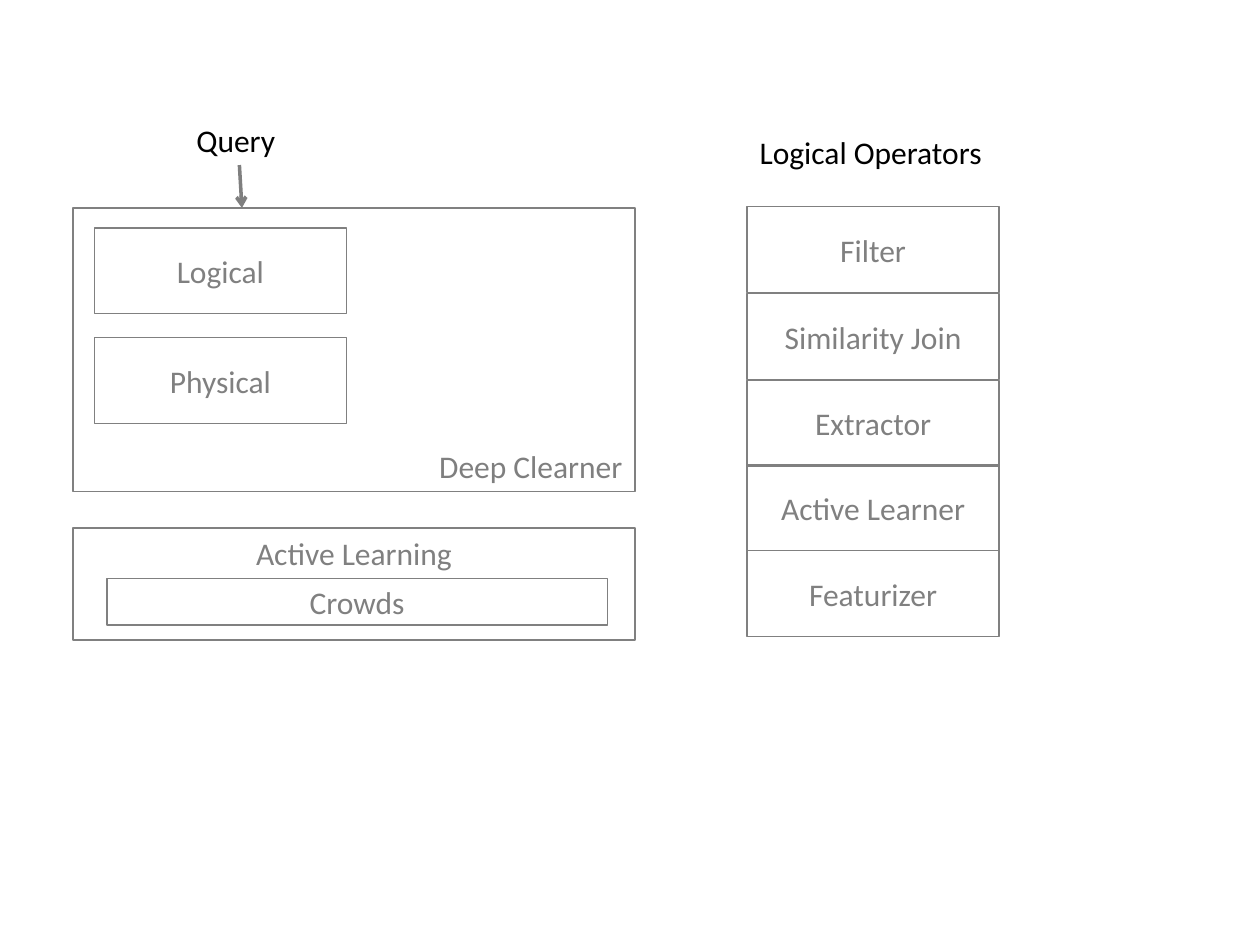
from pptx import Presentation
from pptx.dml.color import RGBColor
from pptx.enum.shapes import MSO_CONNECTOR as Connector, MSO_SHAPE as Shape
from pptx.enum.text import MSO_ANCHOR as Anchor, MSO_AUTO_SIZE as AutoSize, PP_ALIGN as Align
from pptx.oxml.ns import qn
from pptx.util import Inches, Pt
from lxml.etree import SubElement


def color(value):
    return RGBColor.from_string(value)


class Diagram:
    font_name = "Calibri"
    font_size = Pt(18)
    gray = "808080"
    dark_gray = "7F7F7F"
    black = "000000"

    def __init__(self, slide):
        self.slide = slide

    def add_text(self, frame, text, ink, align):
        paragraph = frame.paragraphs[0]
        paragraph.alignment = align
        run = paragraph.add_run()
        run.text = text
        run.font.name = self.font_name
        run.font.size = self.font_size
        run.font.color.rgb = color(ink)

    def box(self, text, left, top, width, height, anchor=Anchor.MIDDLE, align=Align.CENTER, ink=gray):
        shape = self.slide.shapes.add_shape(
            Shape.RECTANGLE, Inches(left), Inches(top), Inches(width), Inches(height))
        shape.shadow.inherit = False
        shape.fill.background()
        shape.line.color.rgb = color(self.gray)
        shape.line.width = Pt(0.75)
        shape.text_frame.word_wrap = True
        shape.text_frame.vertical_anchor = anchor
        self.add_text(shape.text_frame, text, ink, align)

    def label(self, text, left, top, width, height):
        shape = self.slide.shapes.add_textbox(
            Inches(left), Inches(top), Inches(width), Inches(height))
        shape.text_frame.word_wrap = False
        shape.text_frame.auto_size = AutoSize.SHAPE_TO_FIT_TEXT
        self.add_text(shape.text_frame, text, self.black, Align.LEFT)

    def arrow(self, start_x, start_y, end_x, end_y):
        connector = self.slide.shapes.add_connector(
            Connector.STRAIGHT, Inches(start_x), Inches(start_y), Inches(end_x), Inches(end_y))
        connector.line.color.rgb = color(self.dark_gray)
        connector.line.width = Pt(2)
        properties = connector.element.spPr
        SubElement(properties.find(qn("a:ln")), qn("a:tailEnd"), type="arrow")
        SubElement(properties, qn("a:effectLst"))


def main():
    presentation = Presentation()
    presentation.slide_width = Inches(10)
    presentation.slide_height = Inches(7.5)
    diagram = Diagram(presentation.slides.add_slide(presentation.slide_layouts[6]))

    diagram.box("Active Learning", 0.58, 4.19, 4.46, 0.89, anchor=Anchor.TOP)
    diagram.box("Deep Clearner", 0.58, 1.65, 4.46, 2.25,
                anchor=Anchor.BOTTOM, align=Align.RIGHT, ink=Diagram.dark_gray)
    diagram.box("Crowds", 0.85, 4.59, 3.97, 0.37)

    plan_steps = [("Logical", 1.81), ("Physical", 2.68)]
    for name, top in plan_steps:
        diagram.box(name, 0.75, top, 2, 0.68)

    diagram.label("Query", 1.46, 0.91, 0.89, 0.4)
    diagram.arrow(1.9, 1.31, 1.92, 1.65)

    diagram.label("Logical Operators", 5.93, 1.01, 2.05, 0.4)
    operators = [("Filter", 1.64), ("Similarity Join", 2.33), ("Extractor", 3.02),
                 ("Active Learner", 3.69), ("Featurizer", 4.37)]
    for name, top in operators:
        diagram.box(name, 5.93, top, 2, 0.68)

    presentation.save("out.pptx")


if __name__ == "__main__":
    main()
